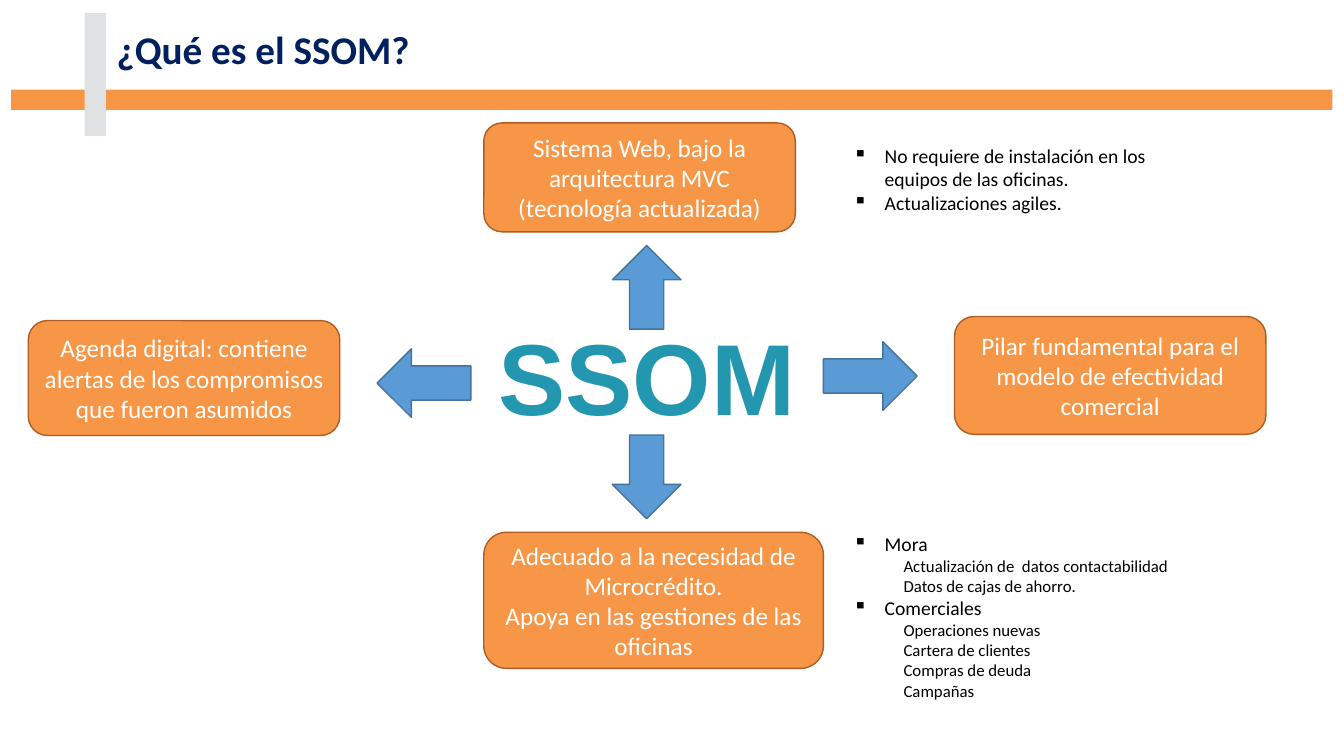
from lxml.etree import SubElement
from pptx import Presentation
from pptx.dml.color import RGBColor
from pptx.enum.shapes import MSO_SHAPE
from pptx.enum.text import MSO_ANCHOR, PP_ALIGN
from pptx.oxml.ns import qn
from pptx.util import Pt

NAVY = RGBColor(0x00, 0x20, 0x60)
ORANGE = RGBColor(0xF7, 0x96, 0x46)
RUST = RGBColor(0xAF, 0x5C, 0x24)
GRAY = RGBColor(0xDF, 0xE1, 0xE2)
TEAL = RGBColor(0x23, 0x97, 0xB0)
BLUE = RGBColor(0x5B, 0x9B, 0xD5)
STEEL = RGBColor(0x43, 0x73, 0x9E)
WHITE = RGBColor(0xFF, 0xFF, 0xFF)
BLACK = RGBColor(0x00, 0x00, 0x00)


class Painter:
    """Draws styled elements on the current slide, in points."""

    def __init__(self, slide, font="Calibri"):
        self.slide = slide
        self.font = font

    def shape(self, kind, area, fill, edge=None, turn=0):
        item = self.slide.shapes.add_shape(kind, *map(Pt, area))
        item.shadow.inherit = False
        item.rotation = turn
        item.fill.solid()
        item.fill.fore_color.rgb = fill
        if edge is None:
            item.line.fill.background()
        else:
            item.line.color.rgb = edge
            item.line.width = Pt(1)
        return item

    def put_text(self, item, lines, size, color, align, bold=False, font=None):
        frame = item.text_frame
        frame.word_wrap = True
        frame.vertical_anchor = MSO_ANCHOR.MIDDLE
        for i, line in enumerate(lines):
            para = frame.paragraphs[0] if i == 0 else frame.add_paragraph()
            para.alignment = align
            run = para.add_run()
            run.text = line
            run.font.name = font or self.font
            run.font.size = Pt(size)
            run.font.bold = bold
            run.font.color.rgb = color
        return frame.paragraphs

    def label(self, area, text, size, color, align, font=None):
        box = self.slide.shapes.add_textbox(*map(Pt, area))
        para, = self.put_text(box, [text], size, color, align, True, font)
        para.line_spacing = 0.9

    def card(self, area, *lines):
        item = self.shape(MSO_SHAPE.ROUNDED_RECTANGLE, area, ORANGE, RUST)
        self.put_text(item, lines, 18, WHITE, PP_ALIGN.CENTER)

    def arrow(self, left, top, width, turn):
        area = left, top, width, 49
        self.shape(MSO_SHAPE.RIGHT_ARROW, area, BLUE, STEEL, turn)

    def bullets(self, area, groups):
        item = self.shape(MSO_SHAPE.ROUNDED_RECTANGLE, area, WHITE)
        rows = [(text, level) for head, subs in groups
                for text, level in [(head, 0)] + [(sub, 1) for sub in subs]]
        paras = self.put_text(item, [text for text, level in rows], 14,
                              BLACK, PP_ALIGN.LEFT)
        for para, (text, level) in zip(paras, rows):
            para.level = level
            props = para._p.get_or_add_pPr()
            props.set("marL", str(Pt(36 if level else 22.5)))
            props.set("indent", str(Pt(0 if level else -22.5)))
            if level:
                para.runs[0].font.size = Pt(12)
                SubElement(props, qn("a:buNone"))
            else:
                SubElement(props, qn("a:buChar")).set("char", "▪")


def main():
    deck = Presentation()
    deck.slide_width, deck.slide_height = Pt(960), Pt(540)
    pen = Painter(deck.slides.add_slide(deck.slide_layouts[6]))

    pen.label((76.3, 10.1, 828, 54), "¿Qué es el SSOM?", 28, NAVY, PP_ALIGN.LEFT)
    pen.shape(MSO_SHAPE.RECTANGLE, (7.9, 64.1, 943.9, 14.4), ORANGE)
    pen.shape(MSO_SHAPE.RECTANGLE, (60.5, 9.4, 15.1, 87.8), GRAY)
    pen.label((326.9, 234.7, 270.7, 77), "SSOM", 72, TEAL, PP_ALIGN.CENTER, "Arial")

    pen.card((345.6, 87.8, 222.5, 77.8),
             "Sistema Web, bajo la arquitectura MVC (tecnología actualizada)")
    pen.card((345.6, 380.2, 242.6, 97.2),
             "Adecuado a la necesidad de Microcrédito.",
             "Apoya en las gestiones de las oficinas")
    pen.card((681.8, 226.1, 222.5, 84.2),
             "Pilar fundamental para el modelo de efectividad comercial")
    pen.card((20.2, 229, 222.5, 82.1),
             "Agenda digital: contiene alertas de los compromisos que fueron asumidos")

    pen.arrow(588.2, 244.1, 67, 0)
    pen.arrow(269.3, 249.1, 67, 180)
    pen.arrow(432, 180.7, 59.8, 270)
    pen.arrow(432, 316.1, 59.8, 90)

    pen.bullets((597.6, 391.7, 296.6, 97.2), [
        ("Mora", ["Actualización de  datos contactabilidad",
                  "Datos de cajas de ahorro."]),
        ("Comerciales", ["Operaciones nuevas", "Cartera de clientes",
                         "Compras de deuda", "Campañas"]),
    ])
    pen.bullets((597.6, 79.2, 274.3, 97.2), [
        ("No requiere de instalación en los equipos de las oficinas.", []),
        ("Actualizaciones agiles.", []),
    ])
    deck.save("out.pptx")


if __name__ == "__main__":
    main()
